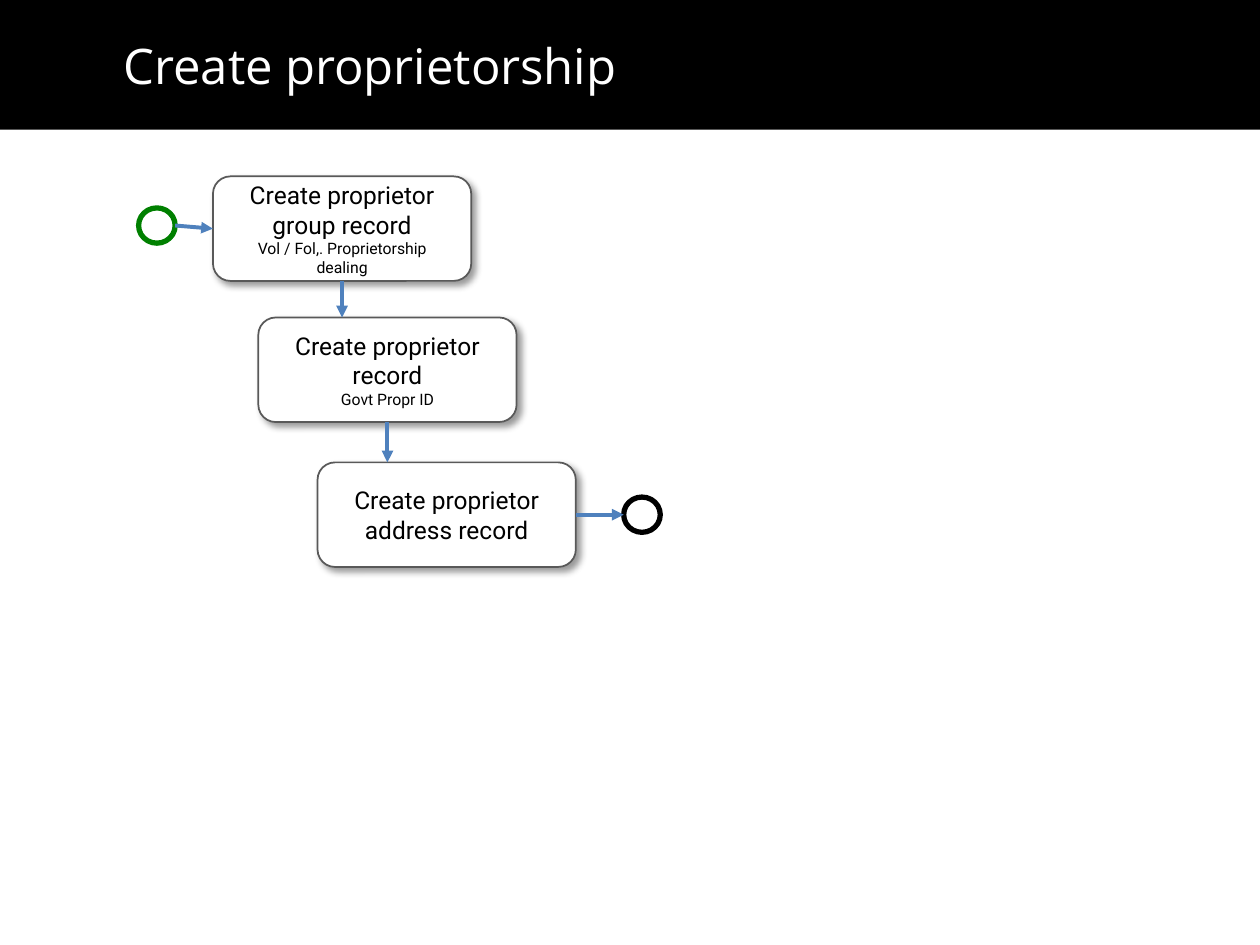
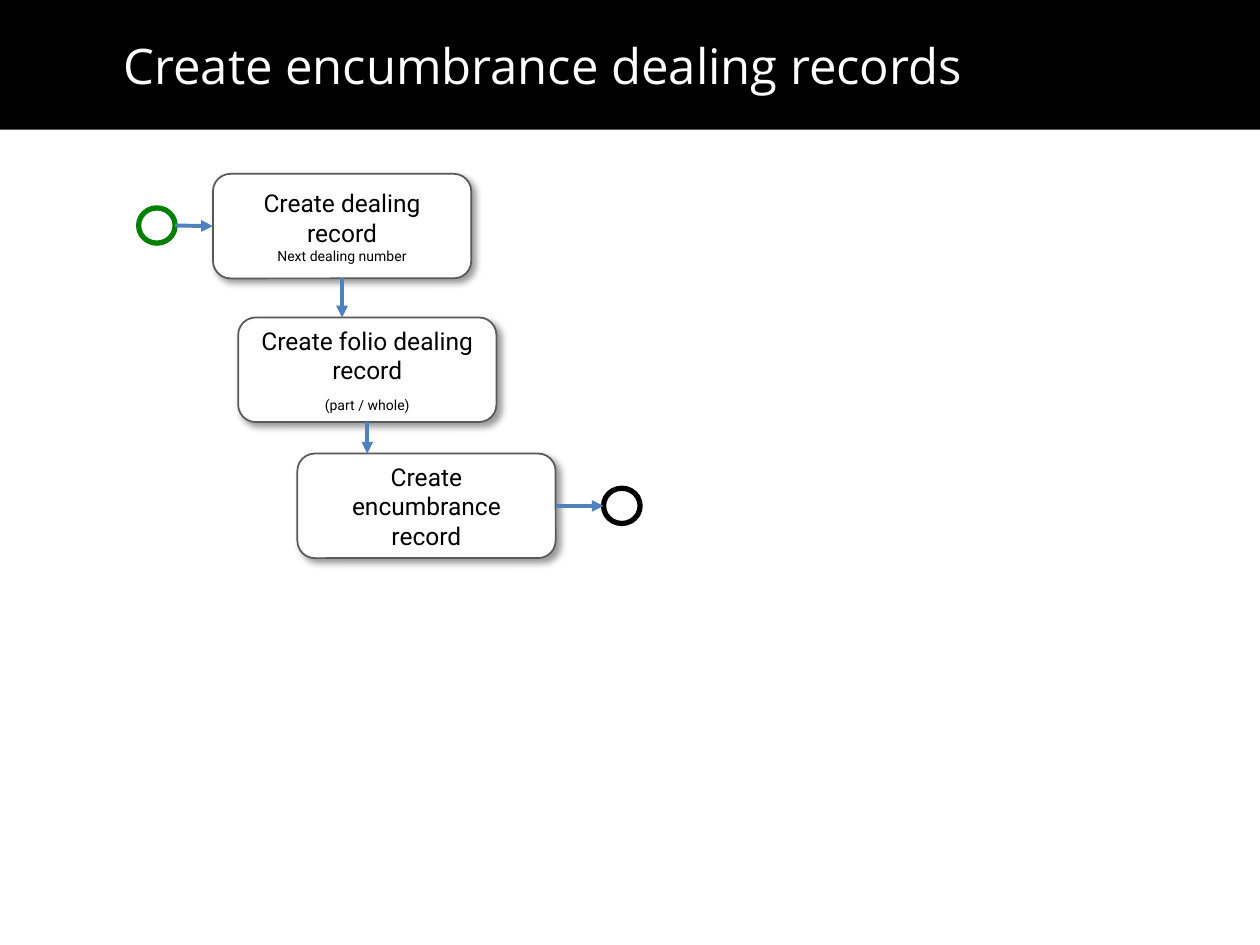
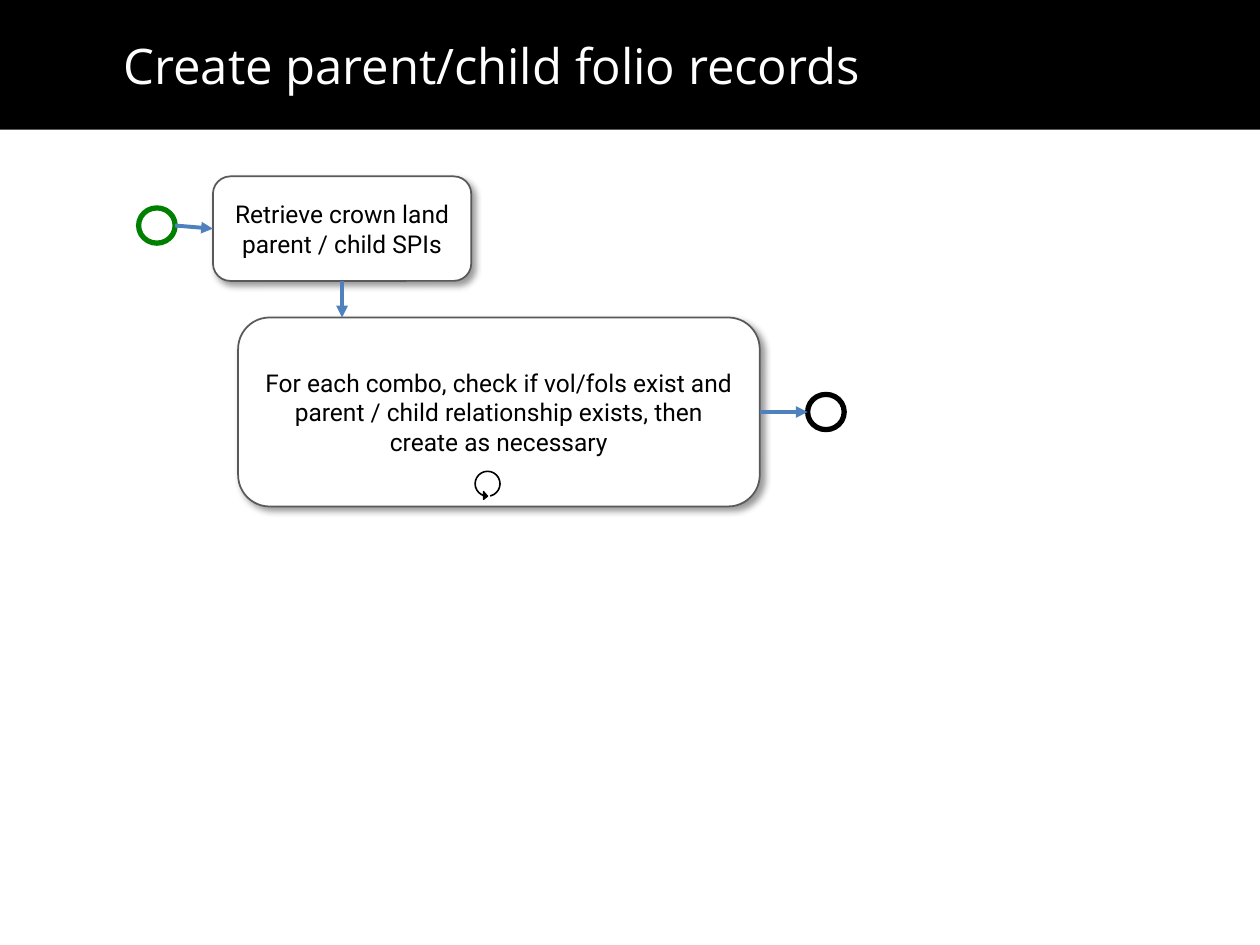
import dataclasses

import lxml.etree
import pptx
import pptx.dml.color
import pptx.enum.shapes
import pptx.enum.text
import pptx.oxml.ns
import pptx.util

Inches = pptx.util.Inches
Pt = pptx.util.Pt
ShapeType = pptx.enum.shapes.MSO_SHAPE
Anchor = pptx.enum.text.MSO_ANCHOR
Align = pptx.enum.text.PP_ALIGN

BLACK = "000000"
WHITE = "FFFFFF"
OUTLINE = "595959"
ARROW = "4F81BD"
START = "008000"

TITLE_FONT = "Open Sans"
BODY_FONT = "Roboto"
SLIDE_WIDTH = 10
SLIDE_HEIGHT = 7.5
TITLE_HEIGHT = 1.03
EVENT_WIDTH = 0.29
EVENT_HEIGHT = 0.28
START_LEFT = 1.1
START_MIDDLE = 1.79
END_GAP = 0.38
TITLE_FRAME = {
    "margin_left": Inches(0.98),
    "margin_right": Inches(0.1),
    "margin_top": Inches(0.28),
    "margin_bottom": Inches(0.28),
    "word_wrap": True,
    "auto_size": pptx.enum.text.MSO_AUTO_SIZE.NONE,
    "vertical_anchor": Anchor.MIDDLE,
}
STEP_FRAME = {"word_wrap": True, "vertical_anchor": Anchor.MIDDLE}


@dataclasses.dataclass(frozen=True)
class Step:
    left: float
    top: float
    text: str
    detail: str = ""
    detail_size: float = 9
    detail_space: float = 0
    width: float = 2.05
    height: float = 0.83
    loops: bool = False

    @property
    def middle(self) -> float:
        return self.top + self.height / 2


@dataclasses.dataclass(frozen=True)
class Flow:
    title: str
    steps: tuple[Step, ...]


FLOWS = (
    Flow("Create proprietorship", (
        Step(1.69, 1.4, "Create proprietor group record", "Vol / Fol,. Proprietorship dealing"),
        Step(2.05, 2.52, "Create proprietor record", "Govt Propr ID"),
        Step(2.52, 3.67, "Create proprietor address record"),
    )),
    Flow("Create encumbrance dealing records", (
        Step(1.69, 1.38, "Create dealing record", "Next dealing number", 8),
        Step(1.89, 2.52, "Create folio dealing record", "(part / whole)", 8, 7),
        Step(2.36, 3.6, "Create encumbrance record"),
    )),
    Flow("Create parent/child folio records", (
        Step(1.69, 1.4, "Retrieve crown land parent / child SPIs"),
        Step(
            1.89, 2.52,
            "For each combo, check if vol/fols exist and parent / child relationship exists, "
            "then create as necessary",
            width=4.14, height=1.5, loops=True,
        ),
    )),
)


def colour(value: str) -> pptx.dml.color.RGBColor:
    return pptx.dml.color.RGBColor.from_string(value)


def apply(target, values: dict) -> None:
    for name, value in values.items():
        setattr(target, name, value)


def add_child(parent, tag: str, **attributes: str):
    return lxml.etree.SubElement(parent, pptx.oxml.ns.qn(tag), attributes)


def paint(shape, fill: str, line: str, width: float) -> None:
    shape.shadow.inherit = False
    shape.fill.solid()
    shape.fill.fore_color.rgb = colour(fill)
    shape.line.color.rgb = colour(line)
    shape.line.width = Pt(width)


def write(paragraph, text: str, font: str, size: float, ink: str) -> None:
    run = paragraph.add_run()
    run.text = text
    apply(run.font, {"name": font, "size": Pt(size)})
    run.font.color.rgb = colour(ink)


def add_title(slide, text: str) -> None:
    title = slide.shapes.title
    apply(title, {
        "left": Inches(0),
        "top": Inches(0),
        "width": Inches(SLIDE_WIDTH),
        "height": Inches(TITLE_HEIGHT),
    })
    title.fill.solid()
    title.fill.fore_color.rgb = colour(BLACK)
    apply(title.text_frame, TITLE_FRAME)
    paragraph = title.text_frame.paragraphs[0]
    paragraph.alignment = Align.LEFT
    write(paragraph, text, TITLE_FONT, 28, WHITE)


def add_soft_shadow(shape) -> None:
    effects = shape.element.spPr.find(pptx.oxml.ns.qn("a:effectLst"))
    shadow = add_child(
        effects, "a:outerShdw", blurRad=str(Pt(4)), dist=str(Pt(3)),
        dir="2700000", algn="tl", rotWithShape="0",
    )
    shadow_colour = add_child(shadow, "a:srgbClr", val=BLACK)
    add_child(shadow_colour, "a:alpha", val="40000")


def add_loop_marker(slide) -> None:
    marker = slide.shapes.add_shape(
        ShapeType.CIRCULAR_ARROW, Inches(3.74), Inches(3.71), Inches(0.26), Inches(0.26)
    )
    paint(marker, BLACK, BLACK, 0.75)
    for index, value in enumerate((0.01, 11.42, 204.58, 8.53, 0.12)):
        marker.adjustments[index] = value
    marker.rotation = 270
    marker.element.spPr.find(pptx.oxml.ns.qn("a:xfrm")).set("flipH", "1")


def add_step(slide, step: Step):
    box = slide.shapes.add_shape(
        ShapeType.ROUNDED_RECTANGLE,
        Inches(step.left), Inches(step.top), Inches(step.width), Inches(step.height),
    )
    paint(box, WHITE, OUTLINE, 1)
    add_soft_shadow(box)
    frame = box.text_frame
    apply(frame, STEP_FRAME)
    write(frame.paragraphs[0], step.text, BODY_FONT, 14, BLACK)
    if step.detail:
        detail = frame.add_paragraph()
        detail.space_before = Pt(step.detail_space)
        write(detail, step.detail, BODY_FONT, step.detail_size, BLACK)
    for paragraph in frame.paragraphs:
        paragraph.alignment = Align.CENTER
    if step.loops:
        add_loop_marker(slide)
    return box


def add_event(slide, left: float, middle: float, line: str) -> None:
    event = slide.shapes.add_shape(
        ShapeType.OVAL, Inches(left), Inches(middle - EVENT_HEIGHT / 2),
        Inches(EVENT_WIDTH), Inches(EVENT_HEIGHT),
    )
    paint(event, WHITE, line, 3)


def add_arrow(slide, begin: tuple[float, float], end: tuple[float, float]):
    arrow = slide.shapes.add_connector(
        pptx.enum.shapes.MSO_CONNECTOR.STRAIGHT,
        *(Inches(length) for length in begin + end),
    )
    arrow.line.color.rgb = colour(ARROW)
    arrow.line.width = Pt(2.25)
    properties = arrow.element.spPr
    add_child(properties.find(pptx.oxml.ns.qn("a:ln")), "a:tailEnd", type="triangle")
    add_child(properties, "a:effectLst")
    return arrow


def add_flow(presentation, flow: Flow) -> None:
    slide = presentation.slides.add_slide(presentation.slide_layouts.get_by_name("Title Only"))
    add_title(slide, flow.title)
    boxes = [add_step(slide, step) for step in flow.steps]

    first, last = flow.steps[0], flow.steps[-1]
    add_event(slide, START_LEFT, START_MIDDLE, START)
    entry = add_arrow(
        slide, (START_LEFT + EVENT_WIDTH, START_MIDDLE), (first.left, first.middle)
    )
    entry.end_connect(boxes[0], 1)

    for box, step, following in zip(boxes, flow.steps, flow.steps[1:]):
        centre = step.left + step.width / 2
        link = add_arrow(slide, (centre, step.top + step.height), (centre, following.top))
        link.begin_connect(box, 2)

    right = last.left + last.width
    add_event(slide, right + END_GAP, last.middle, BLACK)
    leave = add_arrow(slide, (right, last.middle), (right + END_GAP, last.middle))
    leave.begin_connect(boxes[-1], 3)


def main() -> None:
    presentation = pptx.Presentation()
    presentation.slide_width = Inches(SLIDE_WIDTH)
    presentation.slide_height = Inches(SLIDE_HEIGHT)
    for flow in FLOWS:
        add_flow(presentation, flow)
    presentation.save("out.pptx")


if __name__ == "__main__":
    main()
